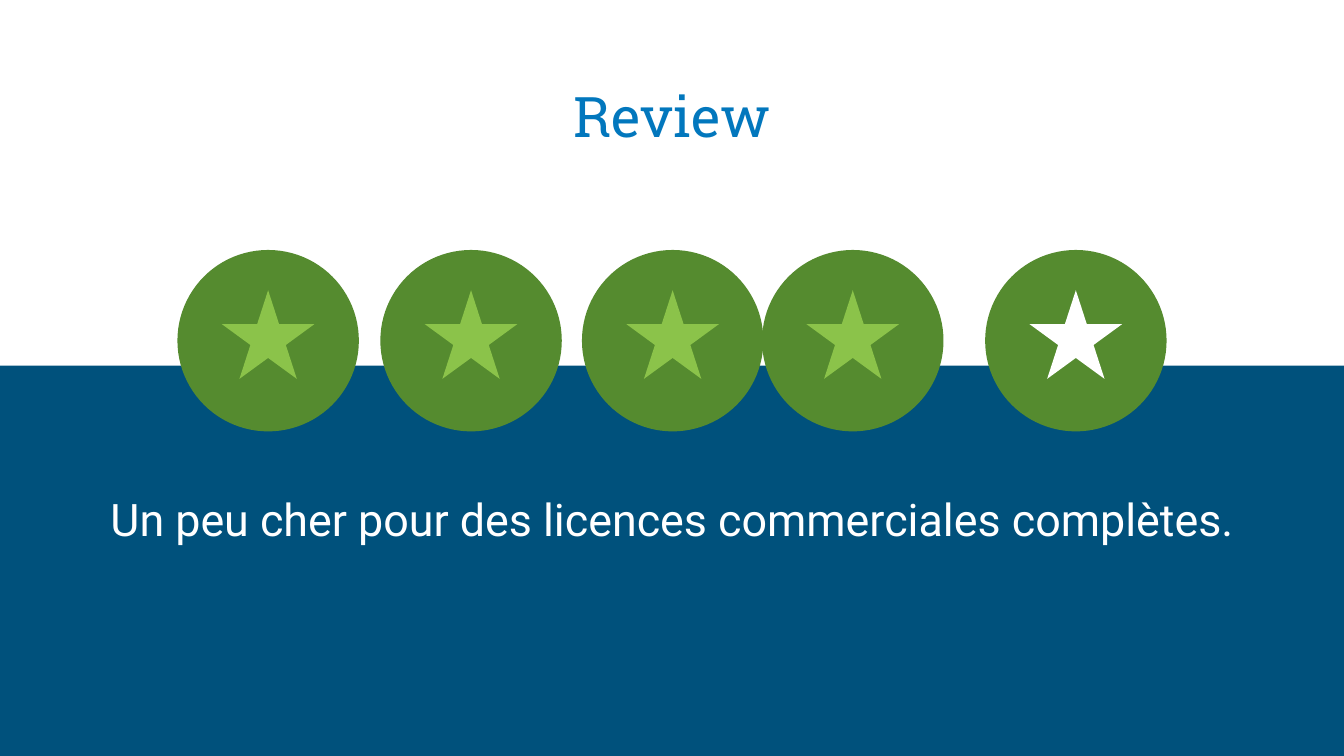
from pptx import Presentation
from pptx.dml.color import RGBColor
from pptx.enum import shapes, text
from pptx.util import Inches, Pt

NAVY = RGBColor(0x00, 0x51, 0x7C)
BLUE = RGBColor(0x02, 0x77, 0xBD)
GREEN = RGBColor(0x55, 0x8B, 0x2F)
LIME = RGBColor(0x8B, 0xC3, 0x4A)
WHITE = RGBColor(0xFF, 0xFF, 0xFF)


def add_filled(parent, kind, left, top, width, height, color):
    """Add a flat, unoutlined shape to a slide's or a group's shapes."""
    shape = parent.add_shape(kind, Inches(left), Inches(top), Inches(width), Inches(height))
    shape.shadow.inherit = False
    shape.fill.solid()
    shape.fill.fore_color.rgb = color
    shape.line.fill.background()
    return shape


def add_centered_text(slide, words, top, height, font, size, color, anchor):
    box = slide.shapes.add_textbox(Inches(0.34), Inches(top), Inches(9.32), Inches(height))
    frame = box.text_frame
    frame.word_wrap = True
    frame.vertical_anchor = anchor
    frame.margin_left = frame.margin_right = Inches(0.1)
    frame.margin_top = frame.margin_bottom = Inches(0.1)
    frame.text = words
    para = frame.paragraphs[0]
    para.alignment = text.PP_ALIGN.CENTER
    span = para.runs[0]
    span.font.name = font
    span.font.size = Pt(size)
    span.font.color.rgb = color
    return para


deck = Presentation()
deck.slide_width = Inches(10)
deck.slide_height = deck.slide_width * 9 // 16
page = deck.slides.add_slide(deck.slide_layouts[6])
page.background.fill.solid()
page.background.fill.fore_color.rgb = NAVY

# White upper band and title
add_filled(page.shapes, shapes.MSO_SHAPE.RECTANGLE, 0, 0, 10.02, 2.72, WHITE)
add_centered_text(page, "Review", 0.41, 0.8, "Roboto Slab", 30, BLUE,
                  text.MSO_ANCHOR.BOTTOM)

# Rating: four earned stars and one empty star
badge_lefts = [1.32, 2.83, 4.33, 5.67, 7.33]
star_colors = [LIME] * 4 + [WHITE]
for left, star_color in zip(badge_lefts, star_colors):
    badge = page.shapes.add_group_shape()
    add_filled(badge.shapes, shapes.MSO_SHAPE.OVAL, left, 1.86, 1.35, 1.35, GREEN)
    add_filled(badge.shapes, shapes.MSO_SHAPE.STAR_5_POINT,
               left + 0.33, 2.16, 0.69, 0.66, star_color)

# Comment
comment = add_centered_text(page, "Un peu cher pour des licences commerciales complètes.",
                            3.5, 1.76, "Roboto", 24, WHITE, text.MSO_ANCHOR.TOP)
comment.line_spacing = 1.15
comment.space_after = Pt(16)

deck.save("out.pptx")
